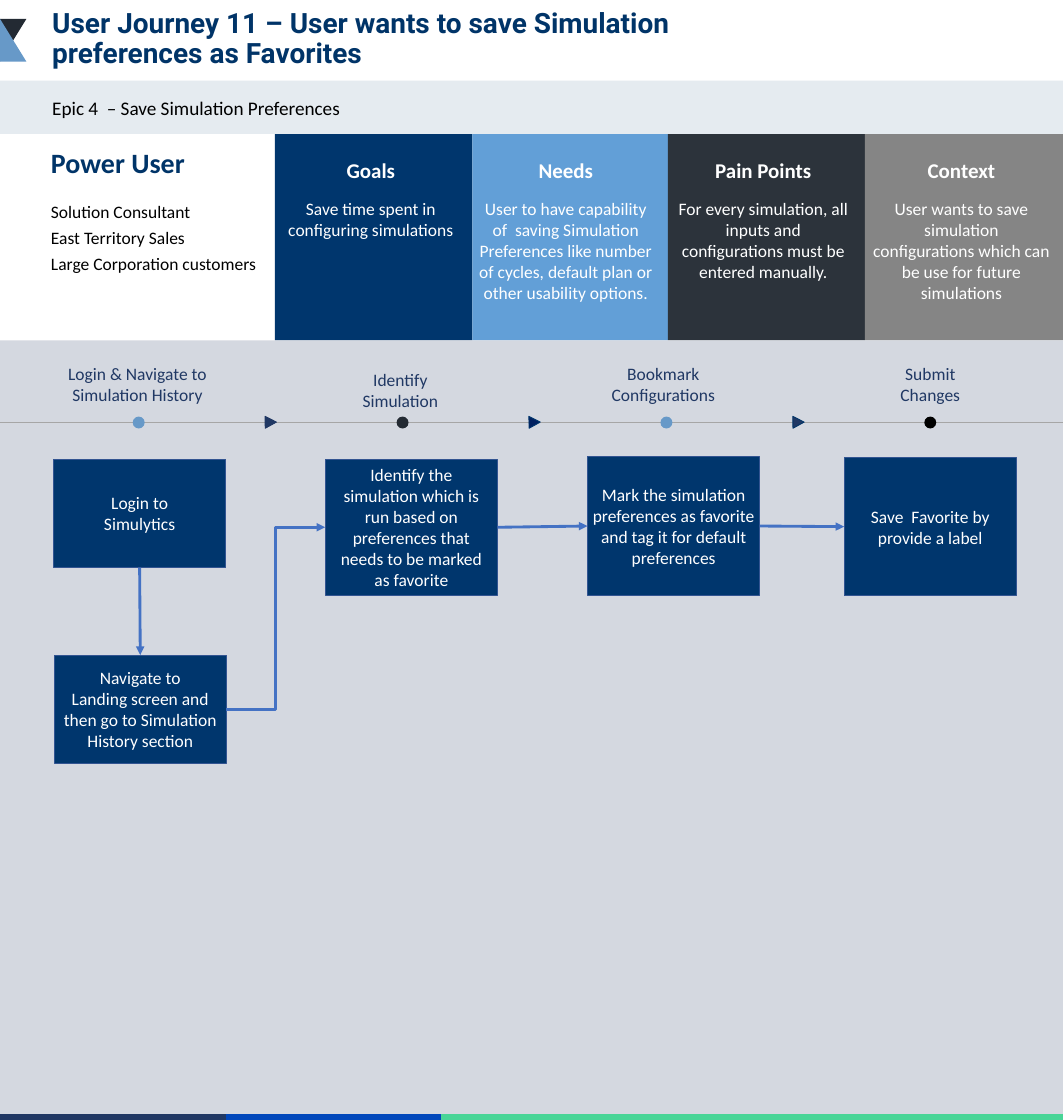
from lxml import etree
from pptx import Presentation
from pptx.dml.color import RGBColor
from pptx.enum import shapes, text
from pptx.oxml import ns
from pptx.util import Inches, Pt

COLORS = {
    "white": "FFFFFF", "black": "000000", "navy": "00366D", "title": "003468",
    "ink": "203864", "midnight": "002060", "slate": "232A33", "steel": "6799C8",
    "needs": "629FD7", "pains": "2C333B", "context": "858585",
    "epic": "E5EBF0", "journey": "D4D8E0", "outline": "325491",
    "arrow": "4472C4", "rule": "A6A6A6", "blue": "0047BB", "green": "48D597",
}
WIDTH, HEIGHT = 16.9, 17.8
RECT = shapes.MSO_SHAPE.RECTANGLE
CENTER, LEFT = text.PP_ALIGN.CENTER, text.PP_ALIGN.LEFT
TOP, MIDDLE = text.MSO_ANCHOR.TOP, text.MSO_ANCHOR.MIDDLE

PERSONA = [
    ("Goals", "Save time spent in configuring simulations", "navy", 4.37, 4.47),
    ("Needs", "User to have capability of  saving Simulation Preferences like number "
              "of cycles, default plan or other usability options.", "needs", 7.51, 7.57),
    ("Pain Points", "For every simulation, all inputs and configurations must be "
                    "entered manually.", "pains", 10.62, 10.71),
    ("Context", "User wants to save simulation configurations which can be use for "
                "future simulations", "context", 13.75, 13.86),
]
STAGES = [
    ("Login & Navigate to Simulation History", 0.73, 5.72, 2.91, "steel"),
    ("Identify\nSimulation", 4.91, 5.81, 2.91, "slate"),
    ("Bookmark\nConfigurations", 9.09, 5.72, 2.91, "steel"),
    ("Submit Changes", 13.99, 5.72, 1.6, "black"),
]
STAGE_STEP = 4.195
MARKERS = [("ink", "ink"), ("midnight", "navy"), ("ink", "title")]


def rgb(name):
    return RGBColor.from_string(COLORS[name])


def add_block(page, kind, left, top, width, height, fill, line=None):
    block = page.shapes.add_shape(kind, Inches(left), Inches(top), Inches(width), Inches(height))
    block.shadow.inherit = False
    block.fill.solid()
    block.fill.fore_color.rgb = rgb(fill)
    if line:
        block.line.color.rgb = rgb(line)
        block.line.width = Pt(1)
    else:
        block.line.fill.background()
    return block


def write(box, words, size, color, bold=False, font="Calibri", align=LEFT,
          anchor=TOP, insets=(0.1, 0.05, 0.1, 0.05)):
    """Fill a shape with text and format all its runs alike."""
    frame = box.text_frame
    frame.text = words
    frame.word_wrap = True
    frame.auto_size = text.MSO_AUTO_SIZE.NONE
    frame.vertical_anchor = anchor
    frame.margin_left, frame.margin_top, frame.margin_right, frame.margin_bottom = map(Inches, insets)
    for para in frame.paragraphs:
        para.alignment = align
        for span in para.runs:
            span.font.name = font
            span.font.size = Pt(size)
            span.font.bold = bold
            span.font.color.rgb = rgb(color)


def add_label(page, left, top, width, height, words, size, color, **style):
    box = page.shapes.add_textbox(Inches(left), Inches(top), Inches(width), Inches(height))
    write(box, words, size, color, **style)


def place(box, left, top, width, height):
    box.left, box.top, box.width, box.height = map(Inches, (left, top, width, height))


def add_step(page, left, top, height, words, side=0.1):
    box = add_block(page, RECT, left, top, 2.74, height, "navy", "outline")
    write(box, words, 20, "white", align=CENTER, anchor=MIDDLE, insets=(side, 0.05, side, 0.05))
    return box


def add_line(page, kind, color, width, start=(0, 0), end=(0, 0)):
    line = page.shapes.add_connector(kind, *map(Inches, start + end))
    line.line.color.rgb = rgb(color)
    line.line.width = Pt(width)
    etree.SubElement(line.element.spPr, ns.qn("a:effectLst"))
    return line


def join(page, source, source_site, target, target_site, kind=shapes.MSO_CONNECTOR.STRAIGHT):
    """Arrow between connection sites: 0 top, 1 left, 2 bottom, 3 right."""
    arrow = add_line(page, kind, "arrow", 3.25)
    arrow.begin_connect(source, source_site)
    arrow.end_connect(target, target_site)
    outline = arrow.element.spPr.find(ns.qn("a:ln"))
    etree.SubElement(outline, ns.qn("a:tailEnd"), type="triangle")


def add_header(page):
    title = page.shapes.title
    place(title, 0.73, 0.18, 12.52, 0.9)
    write(title, "User Journey 11 – User wants to save Simulation preferences as Favorites",
          32, "title", bold=True, font="Roboto", anchor=MIDDLE)
    title.text_frame.paragraphs[0].line_spacing = 0.9
    triangle = shapes.MSO_SHAPE.RIGHT_TRIANGLE
    dark = add_block(page, triangle, 0, 0.3, 0.42, 0.68, "slate")
    dark.element.spPr.find(ns.qn("a:xfrm")).set("flipV", "1")
    add_block(page, triangle, 0, 0.3, 0.42, 0.68, "steel")
    add_block(page, RECT, 0, 1.28, WIDTH, 0.85, "epic")
    add_label(page, 0.83, 1.48, 14.98, 0.47, "Epic 4  – Save Simulation Preferences",
              22, "black", insets=(0, 0.05, 0.1, 0.05))


def add_persona(page):
    insets = (0, 0.05, 0.1, 0.05)
    add_label(page, 0.81, 2.26, 2.93, 0.64, "Power User", 32, "title", bold=True, insets=insets)
    roles = page.placeholders[1]
    place(roles, 0.81, 3.14, 3.4, 1.28)
    write(roles, "Solution Consultant\nEast Territory Sales\nLarge Corporation customers",
          20, "black", insets=insets)
    for para in roles.text_frame.paragraphs:
        para.space_before, para.space_after = Pt(0), Pt(6)
        props = para._p.get_or_add_pPr()
        props.set("marL", "0")
        props.set("indent", "0")
        etree.SubElement(props, ns.qn("a:buNone"))
    edges = [column[3] for column in PERSONA[1:]] + [WIDTH]
    for (heading, words, fill, left, inner), right in zip(PERSONA, edges):
        add_block(page, RECT, left, 2.13, right - left, 3.28, fill)
        style = dict(align=CENTER, insets=(0, 0, 0, 0))
        add_label(page, inner, 2.5, 2.85, 0.4, heading, 24, "white", bold=True, anchor=MIDDLE, **style)
        add_label(page, inner, 3.14, 2.85, 1.68, words, 20, "white", **style)


def add_timeline(page):
    add_line(page, shapes.MSO_CONNECTOR.STRAIGHT, "rule", 1.5, (0, 6.72), (WIDTH, 6.72))
    for i, (words, left, top, width, dot) in enumerate(STAGES):
        add_label(page, left, top, width, 0.77, words, 20, "ink", align=CENTER)
        add_block(page, shapes.MSO_SHAPE.OVAL, 2.11 + i * STAGE_STEP, 6.62, 0.19, 0.19, dot)
    for i, (fill, line) in enumerate(MARKERS):
        marker = add_block(page, shapes.MSO_SHAPE.ISOSCELES_TRIANGLE,
                           4.21 + i * STAGE_STEP, 6.62, 0.19, 0.18, fill, line)
        marker.rotation = 89


def add_flow(page):
    login = add_step(page, 0.85, 7.3, 1.72, "Login to\nSimulytics")
    navigate = add_step(page, 0.86, 10.41, 1.72,
                        "Navigate to\nLanding screen and then go to Simulation History section")
    identify = add_step(page, 5.17, 7.3, 2.16, "Identify the simulation which is run based on "
                        "preferences that needs to be marked as favorite")
    mark = add_step(page, 9.34, 7.26, 2.2, "Mark the simulation preferences as favorite "
                    "and tag it for default preferences", side=0)
    save = add_step(page, 13.42, 7.27, 2.2, "Save  Favorite by provide a label")
    join(page, login, 2, navigate, 0)
    join(page, navigate, 3, identify, 1, shapes.MSO_CONNECTOR.ELBOW)
    join(page, identify, 3, mark, 1)
    join(page, mark, 3, save, 1)


def add_footer(page):
    for left, right, color in [(7.02, WIDTH, "green"), (3.42, 7.01, "blue"), (0, 3.59, "ink")]:
        add_block(page, RECT, left, 17.71, right - left, 0.09, color, color)


def main():
    deck = Presentation()
    deck.slide_width, deck.slide_height = Inches(WIDTH), Inches(HEIGHT)
    page = deck.slides.add_slide(deck.slide_layouts[1])
    add_header(page)
    add_persona(page)
    add_block(page, RECT, 0, 5.41, WIDTH, HEIGHT - 5.41, "journey")
    add_timeline(page)
    add_flow(page)
    add_footer(page)
    deck.save("out.pptx")


if __name__ == "__main__":
    main()
